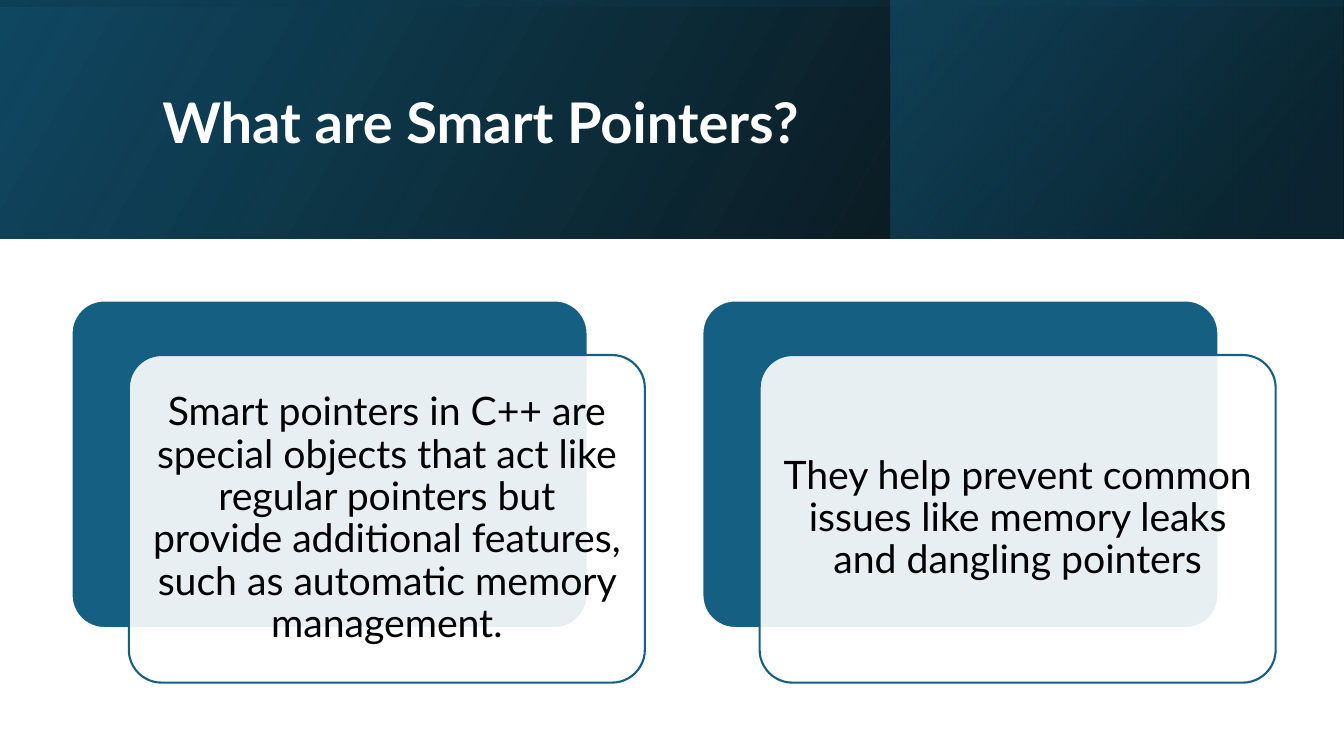
"""Build a slide with a gradient title band and two layered text cards."""
from lxml import etree
from pptx import Presentation
from pptx import util as u
from pptx.dml import color
from pptx.enum import shapes, text
from pptx.oxml import ns

COLORS = {
    "white": "FFFFFF",
    "black": "000000",
    "teal": "156082",
    "deep": "104862",
    "navy": "0B3041",
}
FONT = "Lato"
WIDTH, HEIGHT, BAND = 960, 540, 170.6
CARD_LEFT, CARD_TOP, CARD_WIDTH, CARD_HEIGHT = 51.1, 214.6, 368.6, 234
CARD_PITCH, SHIFT_X, SHIFT_Y, TEXT_GAP = 450.6, 40.9, 39, 6.9
BANDS = [
    ((0, 0, WIDTH, BAND), 0, 330, [(0, "black", 96), (100, "deep", 100)]),
    ((636.5, 0, 322.8, BAND), 0, 320, [(19, "navy", 68), (100, "teal", 48)]),
    (((WIDTH - BAND) / 2, (BAND - WIDTH) / 2, BAND, WIDTH), 270, 350,
     [(23, "deep", 16), (99, "black", 45)]),
]
CARDS = [
    "Smart pointers in C++ are special objects that act like regular pointers but "
    "provide additional features, such as automatic memory management.",
    "They help prevent common issues like memory leaks and dangling pointers",
]


def rgb(name):
    return color.RGBColor.from_string(COLORS[name])


def points(*lengths):
    return [u.Pt(length) for length in lengths]


def set_alpha(color_element, percent):
    alpha = etree.SubElement(color_element, ns.qn("a:alpha"))
    alpha.set("val", str(percent * 1000))


def add_band(page, bounds, rotation, angle, stops):
    band = page.shapes.add_shape(shapes.MSO_SHAPE.RECTANGLE, *points(*bounds))
    band.shadow.inherit = False
    band.rotation = rotation
    band._element.spPr.xfrm.set("flipH", "1")
    band.line.fill.background()
    band.fill.gradient()
    band.fill.gradient_angle = 360 - angle
    for stop, (position, name, _) in zip(band.fill.gradient_stops, stops):
        stop.position = position / 100
        stop.color.rgb = rgb(name)
    for element, (_, _, percent) in zip(band._element.spPr.iter(ns.qn("a:srgbClr")), stops):
        if percent < 100:
            set_alpha(element, percent)


def write_text(frame, words, size, name, align, bold=False):
    frame.word_wrap = True
    frame.auto_size = text.MSO_AUTO_SIZE.NONE
    frame.vertical_anchor = text.MSO_ANCHOR.MIDDLE
    para = frame.paragraphs[0]
    para.alignment = align
    para.line_spacing = 0.9
    span = para.add_run()
    span.text = words
    span.font.name = FONT
    span.font.size = u.Pt(size)
    span.font.bold = bold
    span.font.color.rgb = rgb(name)


def add_title(page, words):
    title = page.shapes.title
    title.left, title.top, title.width, title.height = points(108.7, 27.4, 765.4, 123.8)
    write_text(title.text_frame, words, 40, "white", text.PP_ALIGN.LEFT, True)
    page.shapes._spTree.append(title._element)


def add_panel(group, left, top, fill, line, opacity=100):
    panel = group.shapes.add_shape(
        shapes.MSO_SHAPE.ROUNDED_RECTANGLE, *points(left, top, CARD_WIDTH, CARD_HEIGHT))
    panel.adjustments[0] = 0.1
    panel.shadow.inherit = False
    panel.fill.solid()
    panel.fill.fore_color.rgb = rgb(fill)
    if opacity < 100:
        set_alpha(panel._element.spPr.find(".//" + ns.qn("a:srgbClr")), opacity)
    panel.line.color.rgb = rgb(line)
    panel.line.width = u.Pt(1.5)


def add_card(group, left, words):
    front_left, front_top = left + SHIFT_X, CARD_TOP + SHIFT_Y
    add_panel(group, left, CARD_TOP, "teal", "white")
    add_panel(group, front_left, front_top, "white", "teal", 90)
    box = group.shapes.add_textbox(*points(
        front_left + TEXT_GAP, front_top + TEXT_GAP,
        CARD_WIDTH - 2 * TEXT_GAP, CARD_HEIGHT - 2 * TEXT_GAP))
    frame = box.text_frame
    frame.margin_left = frame.margin_right = u.Pt(8.4)
    frame.margin_top = frame.margin_bottom = u.Pt(8.4)
    write_text(frame, words, 28, "black", text.PP_ALIGN.CENTER)


def main():
    deck = Presentation()
    deck.slide_width, deck.slide_height = points(WIDTH, HEIGHT)
    page = deck.slides.add_slide(deck.slide_layouts[5])
    page.background.fill.solid()
    page.background.fill.fore_color.rgb = rgb("white")
    for band in BANDS:
        add_band(page, *band)
    add_title(page, "What are Smart Pointers?")
    group = page.shapes.add_group_shape()
    for index, words in enumerate(CARDS):
        add_card(group, CARD_LEFT + index * CARD_PITCH, words)
    deck.save("out.pptx")


if __name__ == "__main__":
    main()
